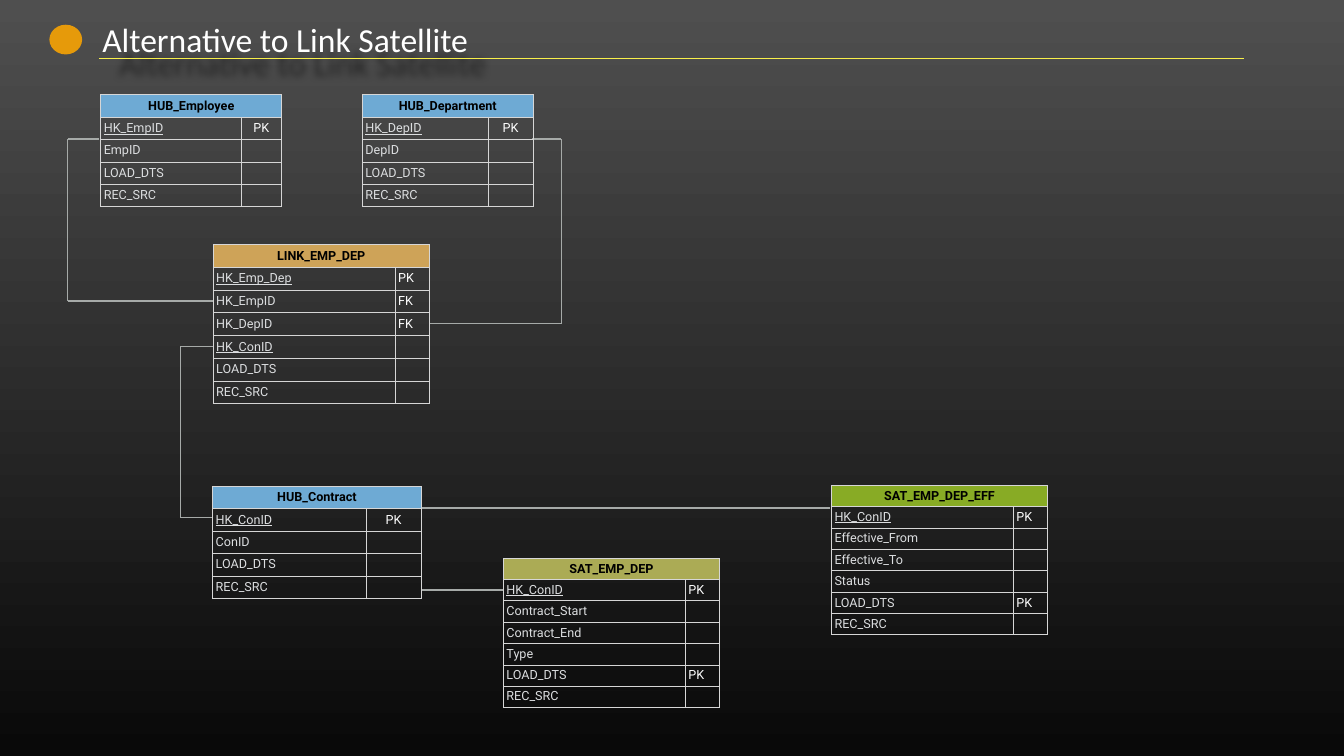
"""Builds the data vault slide that shows an alternative to a link satellite."""
from itertools import pairwise

from lxml.etree import SubElement
from pptx import Presentation
from pptx.dml.color import RGBColor
from pptx.enum.shapes import MSO_CONNECTOR, MSO_SHAPE
from pptx.enum.text import MSO_ANCHOR, PP_ALIGN
from pptx.oxml import parse_xml
from pptx.oxml.ns import nsdecls, qn
from pptx.util import Inches, Pt

COLORS = {
    "top": "4F4F4F", "bottom": "090909", "title": "FFFFFF", "rule": "F8EF4A",
    "emblem": "E69A0A", "route": "A6AAA8", "border": "D6D6D6",
    "header": "000000", "field": "DCDEE0", "key": "FFFFFF",
    "hub": "6EAAD4", "link": "CEA358", "satellite": "ABAB55",
    "effectivity": "88AB25",
}

ENTITIES = [
    ("HUB_Employee", "hub", (2, 1.88), (2.78, 0.81), 2.22, PP_ALIGN.CENTER,
     [("HK_EmpID", "PK"), ("EmpID", ""), ("LOAD_DTS", ""), ("REC_SRC", "")]),
    ("HUB_Department", "hub", (7.19, 1.88), (2.49, 0.9), 2.22, PP_ALIGN.CENTER,
     [("HK_DepID", "PK"), ("DepID", ""), ("LOAD_DTS", ""), ("REC_SRC", "")]),
    ("LINK_EMP_DEP", "link", (4.23, 4.85), (3.61, 0.68), 3.16, PP_ALIGN.LEFT,
     [("HK_Emp_Dep", "PK"), ("HK_EmpID", "FK"), ("HK_DepID", "FK"),
      ("HK_ConID", ""), ("LOAD_DTS", ""), ("REC_SRC", "")]),
    ("SAT_EMP_DEP", "satellite", (9.99, 11.08), (3.61, 0.68), 2.93, PP_ALIGN.LEFT,
     [("HK_ConID", "PK"), ("Contract_Start", ""), ("Contract_End", ""),
      ("Type", ""), ("LOAD_DTS", "PK"), ("REC_SRC", "")]),
    ("HUB_Contract", "hub", (4.22, 9.65), (3.04, 1.1), 2.22, PP_ALIGN.CENTER,
     [("HK_ConID", "PK"), ("ConID", ""), ("LOAD_DTS", ""), ("REC_SRC", "")]),
    ("SAT_EMP_DEP_EFF", "effectivity", (16.5, 9.63), (3.61, 0.68), 2.95, PP_ALIGN.LEFT,
     [("HK_ConID", "PK"), ("Effective_From", ""), ("Effective_To", ""),
      ("Status", ""), ("LOAD_DTS", "PK"), ("REC_SRC", "")]),
]

ROUTES = [
    [(1.96, 2.76), (1.34, 2.76), (1.34, 5.97), (4.24, 5.97)],
    [(10.56, 2.76), (11.14, 2.76), (11.14, 6.42), (8.52, 6.42)],
    [(4.22, 6.88), (3.58, 6.88), (3.58, 10.27), (4.22, 10.27)],
    [(8.35, 11.71), (9.99, 11.71)],
    [(8.26, 10.08), (16.47, 10.08)],
]


def rgb(name):
    """Return the named colour."""
    return RGBColor.from_string(COLORS[name])


def assign(target, values):
    """Set every attribute in values on target."""
    for name, value in values.items():
        setattr(target, name, value)


class VaultSlide:
    """Holds the style and the current slide."""

    margins = dict.fromkeys(
        ("margin_left", "margin_right", "margin_top", "margin_bottom"), Inches(0.06))
    cell_font = {"name": "Roboto", "size": Pt(18)}

    def __init__(self, deck):
        """Add a title-only slide with a vertical gradient behind it."""
        self.slide = deck.slides.add_slide(deck.slide_layouts[5])
        backdrop = self.slide.background.fill
        backdrop.gradient()
        backdrop.gradient_angle = 270
        for stop, name in zip(backdrop.gradient_stops, ("top", "bottom")):
            stop.color.rgb = rgb(name)

    def title(self, wording):
        """Place the heading and its soft shadow."""
        heading = self.slide.shapes.title
        assign(heading, {"left": Inches(1.95), "top": Inches(0.39),
                         "width": Inches(10.57), "height": Inches(0.77)})
        frame = heading.text_frame
        frame.text = wording
        assign(frame, dict.fromkeys(self.margins, Inches(0.08)))
        assign(frame, {"vertical_anchor": MSO_ANCHOR.MIDDLE, "word_wrap": True})
        frame.paragraphs[0].alignment = PP_ALIGN.LEFT
        font = frame.paragraphs[0].runs[0].font
        assign(font, {"name": "Calibri", "size": Pt(48)})
        font.color.rgb = rgb("title")
        heading._element.spPr.append(parse_xml(
            f'<a:effectLst {nsdecls("a")}><a:outerShdw blurRad="{Inches(0.15)}" '
            f'dist="{Inches(0.55)}" dir="3180000"><a:srgbClr val="000000">'
            '<a:alpha val="50000"/></a:srgbClr></a:outerShdw></a:effectLst>'))

    def emblem(self, left, top, width, height):
        """Draw a plain disc beside the title."""
        disc = self.slide.shapes.add_shape(
            MSO_SHAPE.OVAL, *map(Inches, (left, top, width, height)))
        disc.shadow.inherit = False
        disc.fill.solid()
        disc.fill.fore_color.rgb = rgb("emblem")
        disc.line.fill.background()

    def route(self, points, color="route", weight=2):
        """Join the points with straight lines."""
        for start, end in pairwise(points):
            segment = self.slide.shapes.add_connector(
                MSO_CONNECTOR.STRAIGHT, *map(Inches, start + end))
            segment.line.color.rgb = rgb(color)
            segment.line.width = Pt(weight)
            SubElement(segment._element.spPr, qn("a:effectLst"))

    def cell(self, cell, wording, color, fill=None, align=PP_ALIGN.LEFT, **style):
        """Write one bordered table cell."""
        assign(cell, self.margins)
        cell.vertical_anchor = MSO_ANCHOR.MIDDLE
        properties = cell._tc.get_or_add_tcPr()
        for side in "LRTB":
            properties.append(parse_xml(
                f'<a:ln{side} {nsdecls("a")} w="{Pt(1)}"><a:solidFill>'
                f'<a:srgbClr val="{COLORS["border"]}"/></a:solidFill></a:ln{side}>'))
        if fill:
            cell.fill.solid()
            cell.fill.fore_color.rgb = rgb(fill)
        else:
            cell.fill.background()
        paragraph = cell.text_frame.paragraphs[0]
        paragraph.alignment = align
        if wording:
            run = paragraph.add_run()
            run.text = wording
            assign(run.font, self.cell_font | style)
            run.font.color.rgb = rgb(color)

    def entity(self, name, kind, corner, widths, height, key_align, fields):
        """Draw an entity as a header row above its fields and keys."""
        count = len(fields) + 1
        table = self.slide.shapes.add_table(
            count, 2, *map(Inches, (*corner, sum(widths), height))).table
        assign(table, {"first_row": False, "horz_banding": False})
        for column, width in zip(table.columns, widths):
            column.width = Inches(width)
        for row in table.rows:
            row.height = Inches(height / count)
        table.cell(0, 0).merge(table.cell(0, 1))
        self.cell(table.cell(0, 0), name, "header", kind, PP_ALIGN.CENTER, bold=True)
        self.cell(table.cell(0, 1), "", "header", kind)
        for index, (field, key) in enumerate(fields, 1):
            underline = index == 1 or field == "HK_ConID"
            self.cell(table.cell(index, 0), field, "field", underline=underline)
            self.cell(table.cell(index, 1), key, "key", align=key_align)


def main():
    """Build and save the slide."""
    deck = Presentation()
    assign(deck, {"slide_width": Inches(26.67), "slide_height": Inches(15)})
    vault = VaultSlide(deck)
    vault.title("Alternative to Link Satellite")
    vault.route([(1.97, 1.15), (24.69, 1.15)], "rule", 1)
    vault.emblem(0.98, 0.49, 0.65, 0.59)
    for points in ROUTES:
        vault.route(points)
    for entity in ENTITIES:
        vault.entity(*entity)
    deck.save("out.pptx")


if __name__ == "__main__":
    main()
